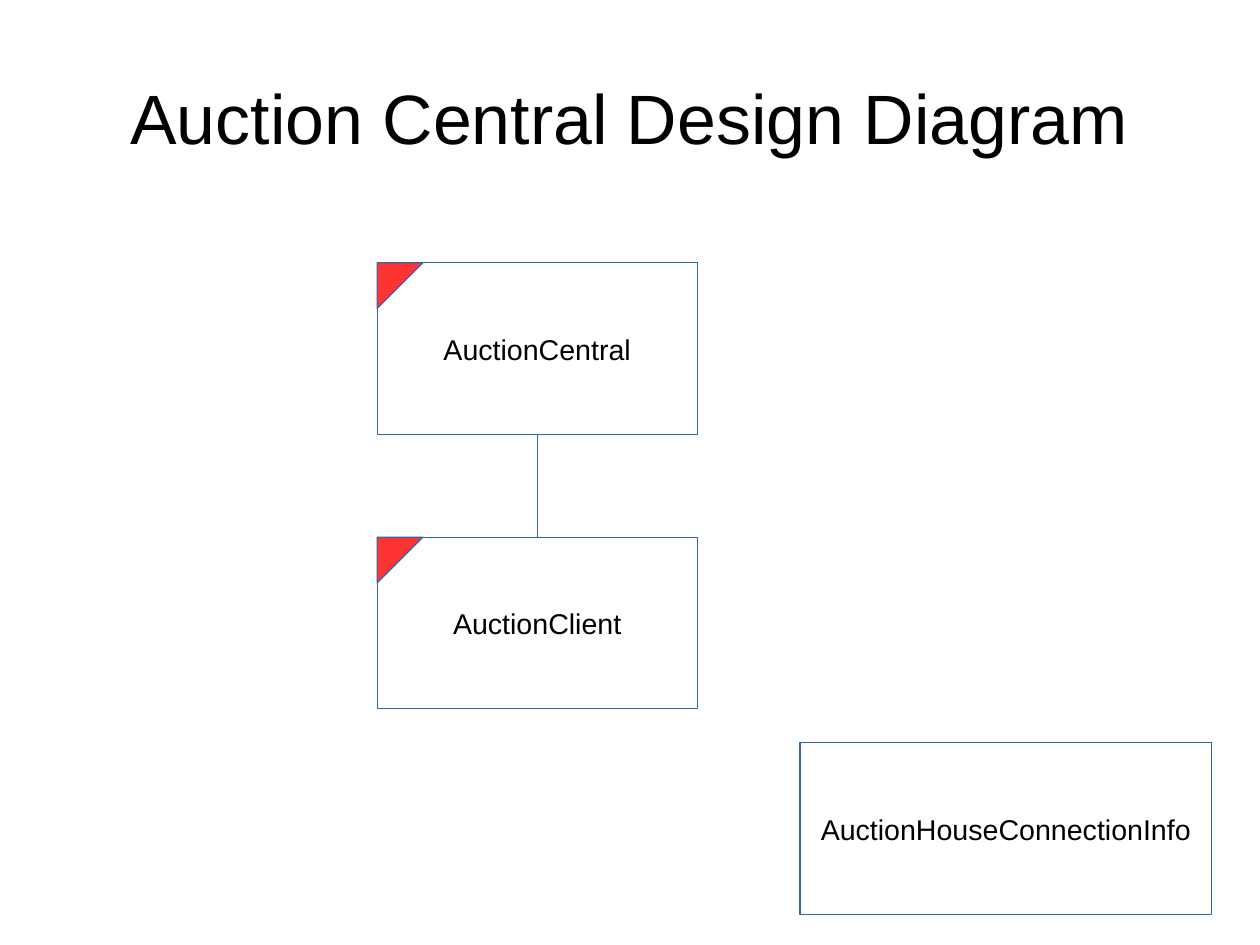
from lxml import etree
from pptx import Presentation
from pptx import util as u
from pptx.dml.color import RGBColor
from pptx.enum import shapes, text
from pptx.oxml import ns

BLACK, WHITE, BLUE, RED = "000000", "FFFFFF", "3465A4", "FF3333"


def color(value):
    return RGBColor.from_string(value)


def write(frame, words, size=18, font="Arial", ink=BLACK, margins=(0.1, 0.05), wrap=False):
    """Put one centred line of formatted text in a frame."""
    frame.word_wrap = wrap
    frame.auto_size = text.MSO_AUTO_SIZE.NONE
    frame.vertical_anchor = text.MSO_ANCHOR.MIDDLE
    frame.margin_left = frame.margin_right = u.Inches(margins[0])
    frame.margin_top = frame.margin_bottom = u.Inches(margins[1])
    para = frame.paragraphs[0]
    para.alignment = text.PP_ALIGN.CENTER
    span = para.add_run()
    span.text = words
    span.font.size = u.Pt(size)
    span.font.name = font
    span.font.color.rgb = color(ink)


def outline(line):
    line.color.rgb = color(BLUE)
    line.width = u.Pt(0.75)


def paint(shape, fill):
    shape.shadow.inherit = False
    shape.fill.solid()
    shape.fill.fore_color.rgb = color(fill)
    outline(shape.line)


def add_title(page, words, box):
    title = page.shapes.title
    title.left, title.top, title.width, title.height = map(u.Inches, box)
    write(title.text_frame, words, size=44, margins=(0, 0), wrap=True)


def add_class(page, name, box):
    shape = page.shapes.add_shape(shapes.MSO_SHAPE.RECTANGLE, *map(u.Inches, box))
    paint(shape, WHITE)
    write(shape.text_frame, name)
    return shape


def add_corner(page, box, side=0.4):
    """Mark the top left corner of a class box."""
    left, top = box[:2]
    points = [(left, top + side), (left + side, top), (left, top)]
    points = [(u.Inches(x), u.Inches(y)) for x, y in points]
    builder = page.shapes.build_freeform(*points[0])
    builder.add_line_segments(points[1:], close=True)
    paint(builder.convert_to_shape(), RED)


def add_link(page, upper, lower):
    """Join the bottom of one class box to the top of the next."""
    link = page.shapes.add_connector(shapes.MSO_CONNECTOR.ELBOW, 0, 0, 0, 0)
    link.begin_connect(upper, 2)
    link.end_connect(lower, 0)
    outline(link.line)
    etree.SubElement(link.element.spPr, ns.qn("a:effectLst"))


def add_diagram(page, left, top):
    """Two linked classes, and a data class to their lower right."""
    width, height, step = 2.8, 1.5, 2.4
    boxes = [(left, top + row * step, width, height) for row in range(2)]
    central, client = [add_class(page, name, box)
                       for name, box in zip(("AuctionCentral", "AuctionClient"), boxes)]
    add_class(page, "AuctionHouseConnectionInfo", (left + 3.7, top + 4.2, 3.6, height))
    add_link(page, central, client)
    for box in boxes:
        add_corner(page, box)


# Slide of 28 by 21 cm
deck = Presentation()
deck.slide_width, deck.slide_height = u.Inches(28 / 2.54), u.Inches(21 / 2.54)
page = deck.slides.add_slide(deck.slide_layouts[5])
add_title(page, "Auction Central Design Diagram", (0.55, 0.33, 9.92, 1.38))
add_diagram(page, 3.3, 2.3)
deck.save("out.pptx")
